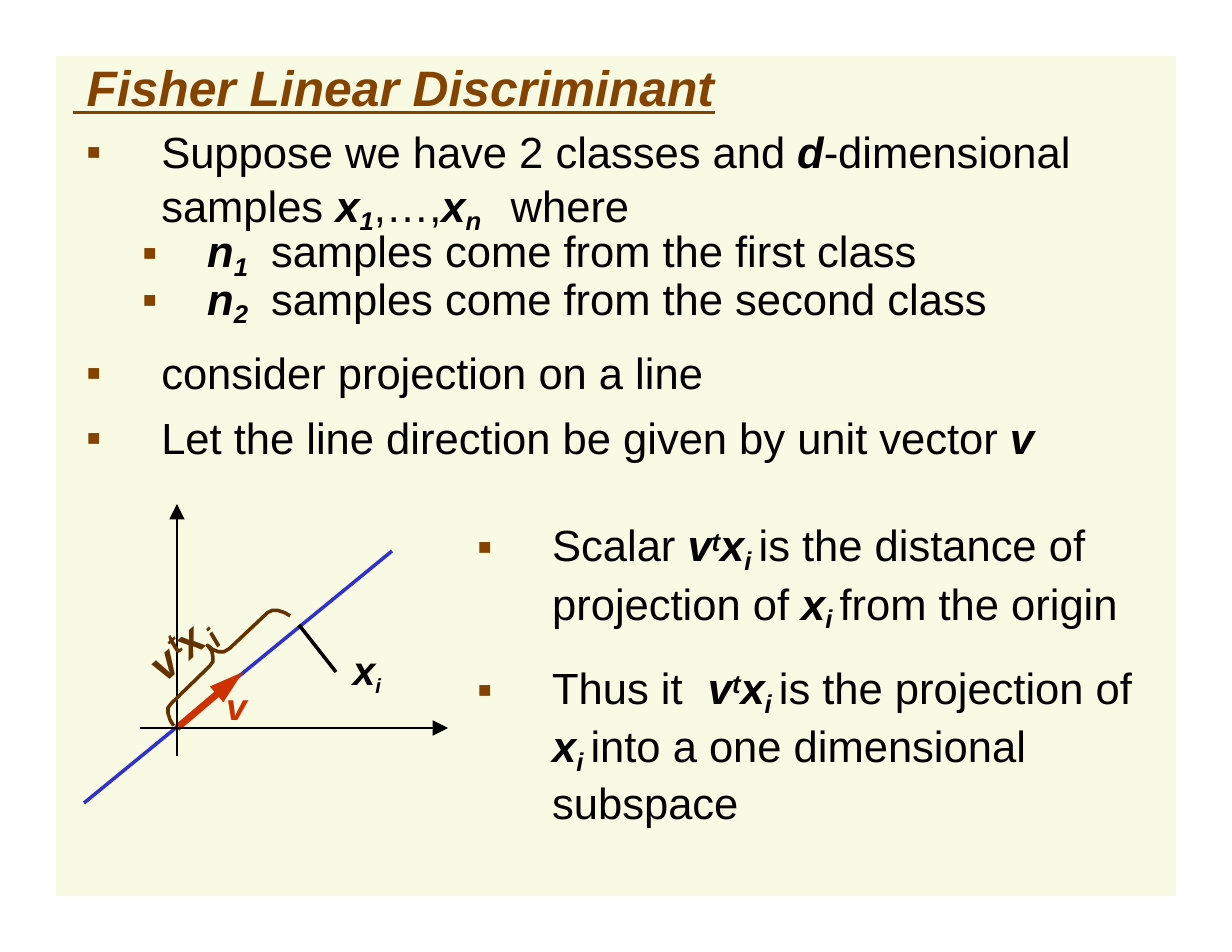
from dataclasses import dataclass

from lxml.etree import SubElement
from pptx import Presentation
from pptx.dml.color import RGBColor
from pptx.enum.shapes import MSO_CONNECTOR, MSO_SHAPE
from pptx.enum.text import MSO_ANCHOR, MSO_AUTO_SIZE, PP_ALIGN
from pptx.oxml.ns import qn
from pptx.util import Inches, Pt


@dataclass(frozen=True)
class Theme:
    font: str = "Arial"
    panel: str = "F9FAE3"
    accent: str = "854300"
    text: str = "000000"
    line: str = "3131CD"
    vector: str = "CD3100"
    brace: str = "643100"
    title_size: float = 32
    body_size: float = 28
    script_size: float = 28.5
    point_size: float = 26
    vector_size: float = 24
    small_size: float = 19


THEME = Theme()
COLUMNS, ROWS = 22, 17
CELL = Inches(0.5)

# Kinds of run: bold italic flag and baseline shift in percent
PLAIN, SYMBOL, SUB, SUPER = (False, 0), (True, 0), (True, -20), (True, 23)
X_I = [("x", SYMBOL), ("i ", SUB)]
VT_X_I = [("v", SYMBOL), ("t", SUPER), *X_I]

ORIGIN = (3.16, 13)
BRACE = [(5.18, 11), (5.08, 10.94), (4.96, 10.9), (4.86, 10.9), (4.78, 10.94),
         (4.1, 11.58), (4, 11.64), (3.9, 11.64), (3.8, 11.6), (3.7, 11.52),
         (3.78, 11.62), (3.8, 11.72), (3.8, 11.82), (3.74, 11.9),
         (3.06, 12.56), (3, 12.64), (3, 12.74), (3.04, 12.86), (3.1, 12.96)]


def grid(*cells):
    return [round(cell * CELL) for cell in cells]


def rgb(color):
    return RGBColor.from_string(color)


def place(shape, box):
    shape.left, shape.top, shape.width, shape.height = grid(*box)


def prepare_frame(shape):
    """Give the shape's text frame tight insets and a fixed size."""
    frame = shape.text_frame
    frame.word_wrap = True
    frame.auto_size = MSO_AUTO_SIZE.NONE
    frame.vertical_anchor = MSO_ANCHOR.TOP
    frame.margin_left = frame.margin_right = frame.margin_bottom = 0
    frame.margin_top = Inches(0.01)
    return frame


def add_bullet(paragraph, margin, hanging, tab):
    properties = paragraph._p.get_or_add_pPr()
    properties.set("marL", str(Inches(margin)))
    properties.set("indent", str(-Inches(hanging)))
    color = SubElement(properties, qn("a:buClr"))
    SubElement(color, qn("a:srgbClr"), val=THEME.accent)
    SubElement(properties, qn("a:buFont"), typeface=THEME.font)
    SubElement(properties, qn("a:buChar"), char="▪")
    stops = SubElement(properties, qn("a:tabLst"))
    for position in (margin, tab):
        if position:
            SubElement(stops, qn("a:tab"), pos=str(Inches(position)), algn="l")


def write(paragraph, runs, size=THEME.body_size, script_size=THEME.script_size,
          color=THEME.text, underline=None, before=0, line_spacing=None):
    """Fill a paragraph with (text, kind) runs."""
    paragraph.alignment = PP_ALIGN.LEFT
    paragraph.space_before = Pt(before)
    if line_spacing:
        paragraph.line_spacing = Pt(line_spacing)
    for text, (emphasis, baseline) in runs:
        run = paragraph.add_run()
        run.text = text
        font = run.font
        font.name = THEME.font
        font.size = Pt(script_size if baseline else size)
        font.bold = font.italic = emphasis
        font.underline = underline
        font.color.rgb = rgb(color)
        if baseline:
            run._r.get_or_add_rPr().set("baseline", str(baseline * 1000))


def add_panel(slide):
    panel = slide.shapes.add_shape(
        MSO_SHAPE.RECTANGLE, *grid(1, 1, COLUMNS - 2, ROWS - 2))
    panel.shadow.inherit = False
    panel.fill.solid()
    panel.fill.fore_color.rgb = rgb(THEME.panel)
    panel.line.fill.background()
    slide.shapes._spTree.insert(2, panel._element)


def fill_title(title):
    place(title, (1.3, 1, 18.88, 1.12))
    write(prepare_frame(title).paragraphs[0],
          [(" Fisher Linear Discriminant", SYMBOL)],
          size=THEME.title_size, color=THEME.accent, underline=True)


def fill_list(placeholder, box, items):
    """Write items of (runs, bullet layout, paragraph format)."""
    place(placeholder, box)
    frame = prepare_frame(placeholder)
    for index, (runs, bullet, spacing) in enumerate(items):
        paragraph = frame.add_paragraph() if index else frame.paragraphs[0]
        paragraph.level = 1 if bullet[0] > 1 else 0
        add_bullet(paragraph, *bullet)
        write(paragraph, runs, **spacing)


def add_label(slide, box, runs, rotation=0, **text_format):
    label = slide.shapes.add_textbox(*grid(*box))
    label.rotation = rotation
    write(prepare_frame(label).paragraphs[0], runs, **text_format)


def add_line(slide, start, end, color, width, head=None):
    """Draw a line; head gives the width and length of its arrowhead."""
    line = slide.shapes.add_connector(
        MSO_CONNECTOR.STRAIGHT, *grid(*start, *end))
    line.line.color.rgb = rgb(color)
    line.line.width = Pt(width)
    if head:
        SubElement(line.line._get_or_add_ln(), qn("a:tailEnd"),
                   type="triangle", w=head[0], len=head[1])
    SubElement(line._element.spPr, qn("a:effectLst"))


def add_brace(slide):
    points = [(round(x * 100), round(y * 100)) for x, y in BRACE]
    builder = slide.shapes.build_freeform(*points[0], scale=CELL / 100)
    builder.add_line_segments(points[1:], close=False)
    brace = builder.convert_to_shape()
    brace.shadow.inherit = False
    brace.fill.background()
    brace.line.color.rgb = rgb(THEME.brace)
    brace.line.width = Pt(2.28)


def draw_diagram(slide):
    add_line(slide, (1.5, 14.34), (7, 9.84), THEME.line, 2.28)
    add_line(slide, ORIGIN, (4.34, 12), THEME.vector, 4.44, ("med", "lg"))
    for start, end in (((ORIGIN[0], 13.5), (ORIGIN[0], 9)),
                       ((2.5, ORIGIN[1]), (8, ORIGIN[1]))):
        add_line(slide, start, end, THEME.text, 1.44, ("lg", "lg"))
    add_line(slide, (6, 12), (5.34, 11.16), THEME.text, 2.28)
    add_brace(slide)
    add_label(slide, (4.04, 12.18, 0.42, 0.86), [("v", SYMBOL)],
              size=THEME.vector_size, color=THEME.vector)
    add_label(slide, (6.3, 11.5, 0.8, 0.92), [("x", SYMBOL), ("i", (True, -24))],
              size=THEME.point_size, script_size=22.5)
    large = {"size": THEME.body_size, "line_spacing": 32.5}
    small = {"size": THEME.small_size, "line_spacing": 21.9}
    for letter, box, text_format in (("v", (2.6, 11.16, 1.08, 0.9), large),
                                     ("t", (2.92, 11, 0.7, 0.6), small),
                                     ("x", (3.06, 10.74, 1.08, 0.9), large),
                                     ("i", (3.64, 10.88, 0.68, 0.6), small)):
        add_label(slide, box, [(letter, SYMBOL)], rotation=318,
                  color=THEME.brace, **text_format)


def main():
    presentation = Presentation()
    presentation.slide_width, presentation.slide_height = grid(COLUMNS, ROWS)
    slide = presentation.slides.add_slide(presentation.slide_layouts[3])
    title, setup, result = slide.placeholders
    add_panel(slide)
    fill_title(title)
    outer, inner = (0.74, 0.67, None), (1.15, 0.58, 1.72)
    fill_list(setup, (1.4, 2.22, 17.92, 5.98), [
        ([("Suppose we have 2 classes and ", PLAIN), ("d", SYMBOL),
          ("-dimensional samples ", PLAIN), ("x", SYMBOL), ("1", SUB),
          (",…,", PLAIN), ("x", SYMBOL), ("n\t", SUB), ("where", PLAIN)],
         (0.74, 0.67, 3.86), {}),
        *[([("n", SYMBOL), (f"{number}\t", SUB),
            (f"samples come from the {ordinal} class", PLAIN)],
           inner, {"line_spacing": spacing})
          for number, ordinal, spacing in ((1, "first", 29.2),
                                           (2, "second", 30.6))],
        ([("consider projection on a line", PLAIN)], outer, {"before": 10.9}),
        ([("Let the line direction be given by unit vector ", PLAIN),
          ("v", SYMBOL)], outer, {"before": 8.4}),
    ])
    fill_list(result, (8.42, 9.22, 12.08, 5.2), [
        ([("Scalar ", PLAIN), *VT_X_I, ("is the distance of projection of ", PLAIN),
          *X_I, ("from the origin", PLAIN)], (0.72, 0.67, None), {}),
        ([("Thus it\t", PLAIN), *VT_X_I, ("is the projection of ", PLAIN),
          *X_I, ("into a one dimensional subspace", PLAIN)],
         (0.72, 0.67, 2.11), {"before": 16.6}),
    ])
    draw_diagram(slide)
    presentation.save("out.pptx")


if __name__ == "__main__":
    main()
